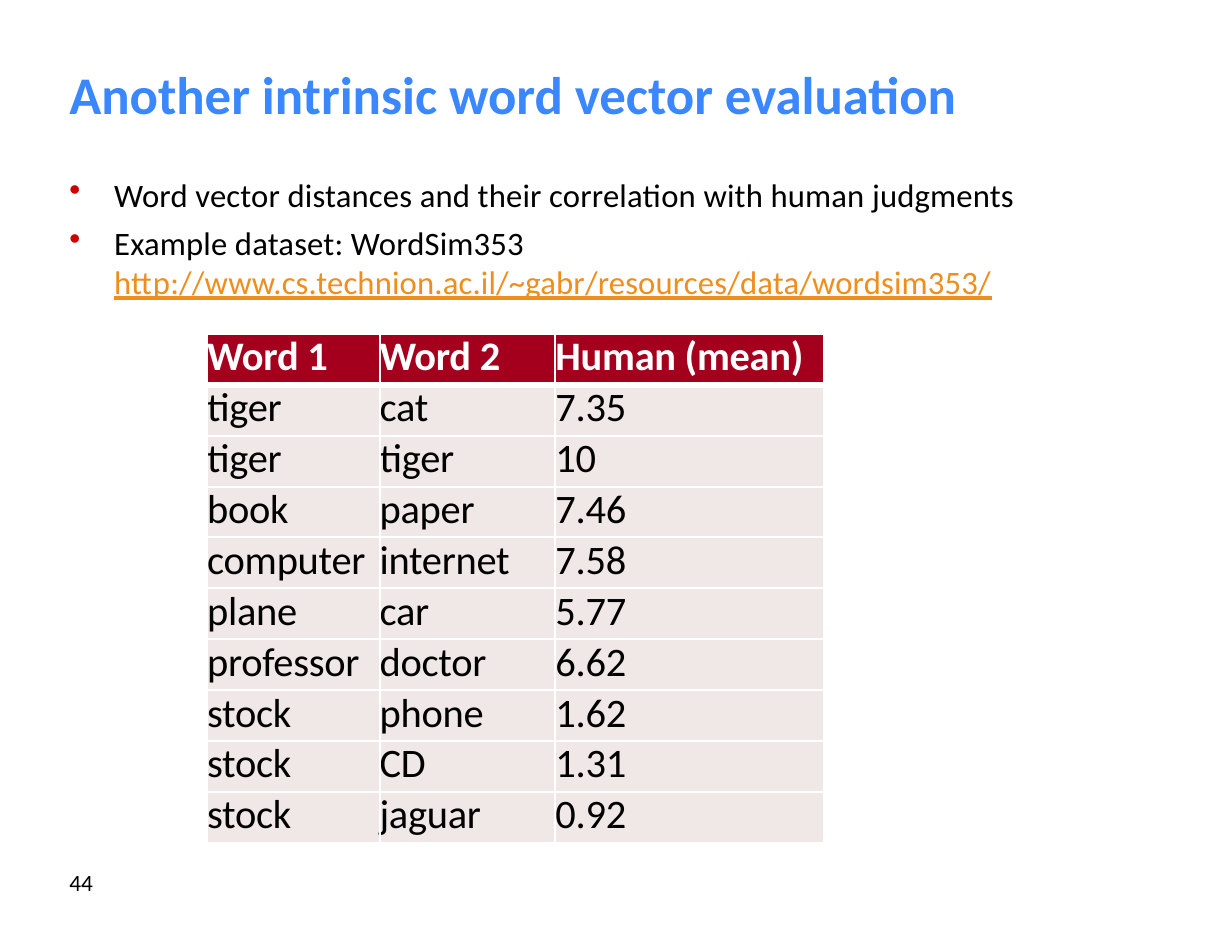
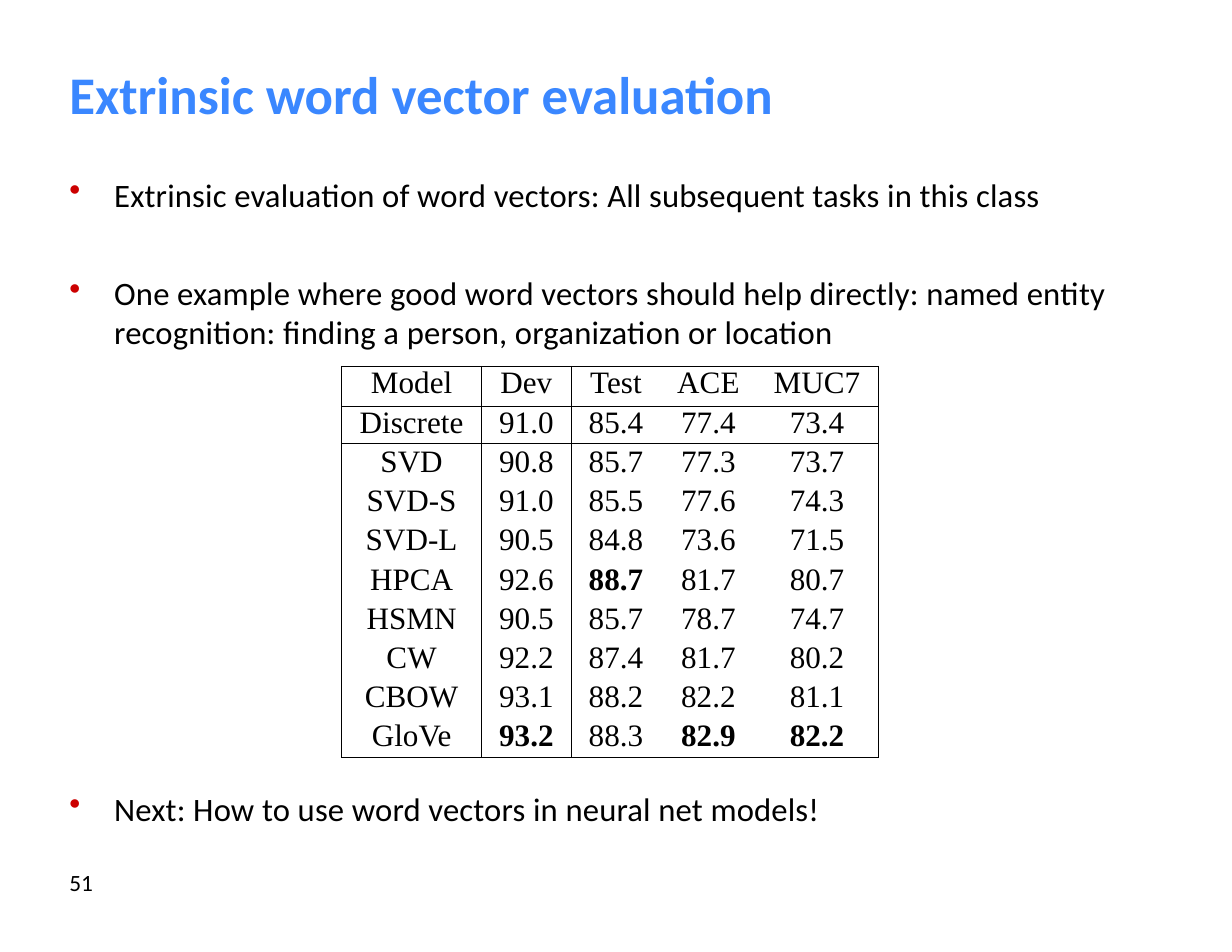
"""Build two slides on intrinsic and extrinsic word vector evaluation."""
from lxml import etree
from pptx import Presentation
from pptx.dml.color import RGBColor
from pptx.enum.text import MSO_ANCHOR, PP_ALIGN
from pptx.oxml.ns import qn
from pptx.util import Inches, Pt

LEFT, CENTER = PP_ALIGN.LEFT, PP_ALIGN.CENTER
TOP = MSO_ANCHOR.TOP

BLACK = RGBColor(0x00, 0x00, 0x00)
WHITE = RGBColor(0xFF, 0xFF, 0xFF)
BLUE = RGBColor(0x3A, 0x87, 0xFF)
BULLET_RED = RGBColor(0xCC, 0x00, 0x00)
HEADER_RED = RGBColor(0xA4, 0x00, 0x1D)
ROW_PINK = RGBColor(0xF0, 0xE7, 0xE7)
LINK_ORANGE = RGBColor(0xEF, 0x8E, 0x1C)

SLIDE_WIDTH, SLIDE_HEIGHT = 11, 8.5
MARGIN = 0.62
BULLET_INDENT = 0.4

TITLE = {"name": "Calibri", "size": Pt(34), "bold": True, "color": BLUE}
BODY = {"name": "Calibri", "size": Pt(21), "color": BLACK, "spacing": 0.1}
LINK = {**BODY, "color": LINK_ORANGE, "underline": True}
PAGE_NUMBER = {"name": "Calibri", "size": Pt(15), "color": BLACK}
SIMILARITY = {"name": "Calibri", "size": Pt(26), "color": BLACK, "spacing": -0.2}
SIMILARITY_HEADER = {**SIMILARITY, "color": WHITE, "bold": True}
SCORE = {"name": "Times New Roman", "size": Pt(20), "color": BLACK}
BEST_SCORE = {**SCORE, "bold": True}

SIMILARITY_ROWS = [
    ("Word 1", "Word 2", "Human (mean)"),
    ("tiger", "cat", "7.35"),
    ("tiger", "tiger", "10"),
    ("book", "paper", "7.46"),
    ("computer", "internet", "7.58"),
    ("plane", "car", "5.77"),
    ("professor", "doctor", "6.62"),
    ("stock", "phone", "1.62"),
    ("stock", "CD", "1.31"),
    ("stock", "jaguar", "0.92"),
]
SCORE_ROWS = [
    ("Model", "Dev", "Test", "ACE", "MUC7"),
    ("Discrete", "91.0", "85.4", "77.4", "73.4"),
    ("SVD", "90.8", "85.7", "77.3", "73.7"),
    ("SVD-S", "91.0", "85.5", "77.6", "74.3"),
    ("SVD-L", "90.5", "84.8", "73.6", "71.5"),
    ("HPCA", "92.6", "88.7", "81.7", "80.7"),
    ("HSMN", "90.5", "85.7", "78.7", "74.7"),
    ("CW", "92.2", "87.4", "81.7", "80.2"),
    ("CBOW", "93.1", "88.2", "82.2", "81.1"),
    ("GloVe", "93.2", "88.3", "82.9", "82.2"),
]
BEST_CELLS = {(5, 2), (9, 1), (9, 3), (9, 4)}

SLIDES = [
    {
        "title": "Another intrinsic word vector evaluation",
        "number": "44",
        "bullets": [
            (1.56, [
                ({}, [("Word vector distances and their correlation with human judgments", BODY)]),
                ({"space_before": Pt(5.8)}, [
                    ("Example dataset: WordSim353\v", BODY),
                    ("http://www.cs.technion.ac.il/~gabr/resources/data/wordsim353/", LINK),
                ]),
            ]),
        ],
        "table": {
            "rows": SIMILARITY_ROWS,
            "at": (1.85, 2.98),
            "widths": [1.54, 1.57, 2.4],
            "heights": [0.455] * 10,
            "leading": [30.6] * 10,
            "align": LEFT,
            "line_color": WHITE,
            "columns_ruled": dict.fromkeys(range(4), 1.5),
            "rows_ruled": {**dict.fromkeys(range(11), 1.5), 1: 4.25},
            "fills": [HEADER_RED] + [ROW_PINK] * 9,
            "style": lambda row, column: SIMILARITY if row else SIMILARITY_HEADER,
        },
    },
    {
        "title": "Extrinsic word vector evaluation",
        "number": "51",
        "bullets": [
            (1.56, [
                ({}, [("Extrinsic evaluation of word vectors: All subsequent tasks in this class", BODY)]),
                ({"space_before": Pt(38), "line_spacing": Pt(25)}, [
                    ("One example where good word vectors should help directly: named entity "
                     "recognition: finding a person, organization or location", BODY),
                ]),
            ]),
            (7.04, [({}, [("Next: How to use word vectors in neural net models!", BODY)])]),
        ],
        "table": {
            "rows": SCORE_ROWS,
            "at": (3.05, 3.27),
            "widths": [1.25, 0.8, 0.8, 0.85, 1.09],
            "heights": [0.36, 0.33] + [0.35] * 8,
            "leading": [21.9] * 2 + [23] * 8,
            "align": CENTER,
            "line_color": BLACK,
            "columns_ruled": dict.fromkeys((0, 1, 2, 5), 0.75),
            "rows_ruled": dict.fromkeys((0, 1, 2, 10), 0.75),
            "fills": [None] * 10,
            "style": lambda row, column: BEST_SCORE if (row, column) in BEST_CELLS else SCORE,
        },
    },
]


def apply(target, values):
    """Set every named value on the target."""
    for name, value in values.items():
        setattr(target, name, value)


def write(para, text, style):
    """Add text to a paragraph in a style, with a line break for each vertical tab."""
    for index, part in enumerate(text.split("\v")):
        if index:
            para.add_line_break()
        if not part:
            continue
        span = para.add_run()
        span.text = part
        for name, value in style.items():
            if name == "color":
                span.font.color.rgb = value
            elif name == "spacing":
                span.font._element.set("spc", str(round(value * 100)))
            else:
                setattr(span.font, name, value)


def add_box(page, left, top, width, height):
    """Add a wrapping text box without insets and return its text frame."""
    box = page.shapes.add_textbox(*map(Inches, (left, top, width, height)))
    frame = box.text_frame
    apply(frame, {"word_wrap": True, "margin_left": 0, "margin_right": 0,
                  "margin_top": 0, "margin_bottom": 0})
    return frame


def add_bullet(para):
    """Give a paragraph a hanging red bullet."""
    properties = para._p.get_or_add_pPr()
    properties.set("marL", str(Inches(BULLET_INDENT)))
    properties.set("indent", str(-Inches(BULLET_INDENT)))
    color = etree.SubElement(properties, qn("a:buClr"))
    etree.SubElement(color, qn("a:srgbClr"), val=str(BULLET_RED))
    etree.SubElement(properties, qn("a:buChar"), char="•")


def add_bullets(page, top, items):
    """Add a box of bulleted paragraphs."""
    frame = add_box(page, MARGIN, top, SLIDE_WIDTH - 1.6 * MARGIN, 0.38 * len(items))
    for index, (layout, spans) in enumerate(items):
        para = frame.add_paragraph() if index else frame.paragraphs[0]
        add_bullet(para)
        apply(para, layout)
        for text, style in spans:
            write(para, text, style)


def rule_cell(cell, weights, color):
    """Draw the left, right, top and bottom borders; None means no line."""
    properties = cell._tc.get_or_add_tcPr()
    for index, (side, weight) in enumerate(zip("LRTB", weights)):
        line = etree.Element(qn(f"a:ln{side}"), w=str(Pt(weight or 0)))
        if weight:
            fill = etree.SubElement(line, qn("a:solidFill"))
            etree.SubElement(fill, qn("a:srgbClr"), val=str(color))
        else:
            etree.SubElement(line, qn("a:noFill"))
        properties.insert(index, line)


def add_table(page, design):
    """Add a table whose borders follow its ruled grid lines."""
    rows, widths, heights = design["rows"], design["widths"], design["heights"]
    size = (*design["at"], sum(widths), sum(heights))
    table = page.shapes.add_table(len(rows), len(widths), *map(Inches, size)).table
    apply(table, {"first_row": False, "horz_banding": False})
    for column, width in zip(table.columns, widths):
        column.width = Inches(width)
    for row, height in zip(table.rows, heights):
        row.height = Inches(height)
    across, down = design["columns_ruled"], design["rows_ruled"]
    for r, texts in enumerate(rows):
        for c, text in enumerate(texts):
            cell = table.cell(r, c)
            apply(cell, {"margin_left": 0, "margin_right": 0, "margin_top": 0,
                         "margin_bottom": 0, "vertical_anchor": TOP})
            if design["fills"][r] is None:
                cell.fill.background()
            else:
                cell.fill.solid()
                cell.fill.fore_color.rgb = design["fills"][r]
            weights = (across.get(c), across.get(c + 1), down.get(r), down.get(r + 1))
            rule_cell(cell, weights, design["line_color"])
            para = cell.text_frame.paragraphs[0]
            apply(para, {"alignment": design["align"], "line_spacing": Pt(design["leading"][r])})
            write(para, text, design["style"](r, c))


def add_page(deck, content):
    """Add one slide with title, bullets, table and page number."""
    page = deck.slides.add_slide(deck.slide_layouts[6])
    title = add_box(page, MARGIN, 0.55, SLIDE_WIDTH - 2 * MARGIN, 0.59)
    write(title.paragraphs[0], content["title"], TITLE)
    for top, items in content["bullets"]:
        add_bullets(page, top, items)
    add_table(page, content["table"])
    number = add_box(page, MARGIN, SLIDE_HEIGHT - 0.75, 0.3, 0.28)
    write(number.paragraphs[0], content["number"], PAGE_NUMBER)


def main():
    """Build and save the deck."""
    deck = Presentation()
    apply(deck, {"slide_width": Inches(SLIDE_WIDTH), "slide_height": Inches(SLIDE_HEIGHT)})
    for content in SLIDES:
        add_page(deck, content)
    deck.save("out.pptx")


if __name__ == "__main__":
    main()
